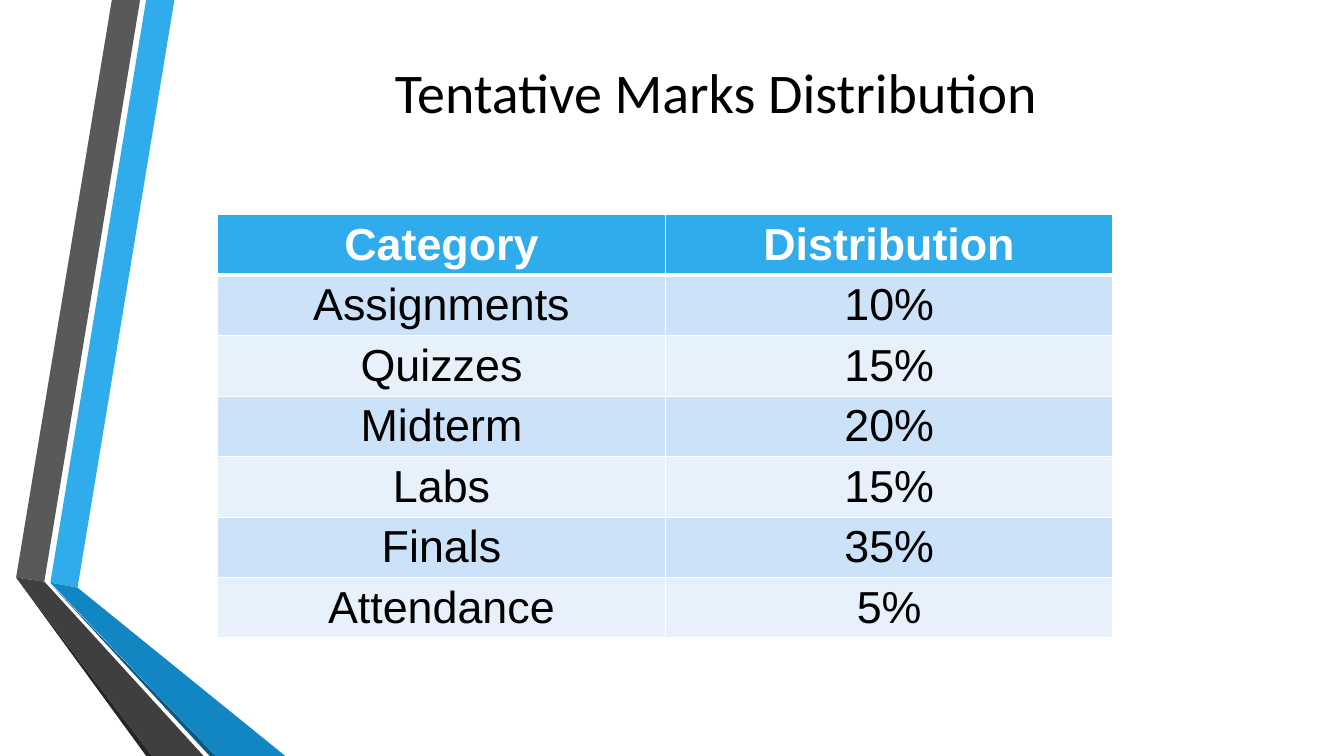
from dataclasses import dataclass

import pptx
import pptx.dml.color
import pptx.enum.text
import pptx.oxml
import pptx.oxml.ns
import pptx.util
from pptx.util import Inches

COLORS = {
    "black": "000000",
    "white": "FFFFFF",
    "blue": "30ACEC",
    "blue_dark": "1186C3",
    "blue_edge": "0B5982",
    "gray": "595959",
    "gray_dark": "3F3F3F",
    "gray_edge": "262626",
    "row_odd": "CCE2F8",
    "row_even": "E7F1FB",
}


@dataclass(frozen=True)
class Band:
    color: str
    points: tuple[tuple[float, float], ...]


@dataclass(frozen=True)
class TextStyle:
    font: str
    size: int
    color: str
    bold: bool = False


@dataclass(frozen=True)
class Mark:
    category: str
    share: str


BANDS = (
    Band("blue", ((0.5, 5.78), (0.77, 5.83), (1.73, 0), (1.45, 0))),
    Band("gray", ((1.39, 0), (1.11, 0), (0.16, 5.73), (0.44, 5.77))),
    Band("gray_edge", ((0.16, 5.73), (1.45, 7.5), (1.51, 7.5))),
    Band("blue_edge", ((0.5, 5.79), (2.08, 7.5), (2.14, 7.5))),
    Band("blue_dark", ((0.5, 5.78), (2.14, 7.5), (2.83, 7.5), (0.77, 5.83))),
    Band("gray_dark", ((0.16, 5.73), (1.51, 7.5), (2.02, 7.5), (0.44, 5.77))),
)
MARKS = (
    Mark("Category", "Distribution"),
    Mark("Assignments", "10%"),
    Mark("Quizzes", "15%"),
    Mark("Midterm", "20%"),
    Mark("Labs", "15%"),
    Mark("Finals", "35%"),
    Mark("Attendance", "5%"),
)
TITLE = TextStyle("Calibri", 40, "black")
HEADER = TextStyle("Arial", 32, "white", True)
BODY = TextStyle("Arial", 32, "black")
COL_WIDTH = 4.44
ROW_HEIGHT = 0.6


def rgb(name: str) -> pptx.dml.color.RGBColor:
    return pptx.dml.color.RGBColor.from_string(COLORS[name])


def write(tf, text: str, style: TextStyle) -> None:
    p = tf.paragraphs[0]
    p.alignment = pptx.enum.text.PP_ALIGN.CENTER
    r = p.add_run()
    r.text = text
    r.font.name = style.font
    r.font.size = pptx.util.Pt(style.size)
    r.font.bold = style.bold
    r.font.color.rgb = rgb(style.color)


def draw_band(s, band: Band) -> None:
    start, *rest = [(Inches(x), Inches(y)) for x, y in band.points]
    builder = s.shapes.build_freeform(*start)
    builder.add_line_segments(rest, close=True)
    sp = builder.convert_to_shape()
    sp.shadow.inherit = False
    sp.fill.solid()
    sp.fill.fore_color.rgb = rgb(band.color)
    sp.line.fill.background()


def set_borders(cell, top: int, bottom: int) -> None:
    tc_pr = cell._tc.get_or_add_tcPr()
    for side, width in (("L", 1), ("R", 1), ("T", top), ("B", bottom)):
        tc_pr.append(pptx.oxml.parse_xml(
            f'<a:ln{side} {pptx.oxml.ns.nsdecls("a")} w="{pptx.util.Pt(width)}">'
            f'<a:solidFill><a:srgbClr val="{COLORS["white"]}"/></a:solidFill>'
            f'</a:ln{side}>'
        ))


def draw_title(s, text: str) -> None:
    sp = s.shapes.title
    sp.left, sp.top = Inches(1.62), Inches(0.21)
    sp.width, sp.height = Inches(10.96), Inches(1.38)
    sp.text_frame.vertical_anchor = pptx.enum.text.MSO_ANCHOR.MIDDLE
    write(sp.text_frame, text, TITLE)


def draw_marks(s, marks: tuple[Mark, ...]) -> None:
    table = s.shapes.add_table(
        len(marks), 2, Inches(2.16), Inches(2.13),
        Inches(2 * COL_WIDTH), Inches(ROW_HEIGHT * len(marks)),
    ).table
    for column in table.columns:
        column.width = Inches(COL_WIDTH)
    for i, mark in enumerate(marks):
        table.rows[i].height = Inches(ROW_HEIGHT)
        style = BODY if i else HEADER
        fill = ("row_odd" if i % 2 else "row_even") if i else "blue"
        for cell, text in zip(table.rows[i].cells, (mark.category, mark.share)):
            write(cell.text_frame, text, style)
            set_borders(cell, 3 if i == 1 else 1, 3 if i == 0 else 1)
            cell.fill.solid()
            cell.fill.fore_color.rgb = rgb(fill)


def main() -> None:
    prs = pptx.Presentation()
    prs.slide_width, prs.slide_height = Inches(13.33), Inches(7.5)
    s = prs.slides.add_slide(prs.slide_layouts[5])
    for band in BANDS:
        draw_band(s, band)
    draw_title(s, "Tentative Marks Distribution")
    draw_marks(s, MARKS)
    prs.save("out.pptx")


if __name__ == "__main__":
    main()
